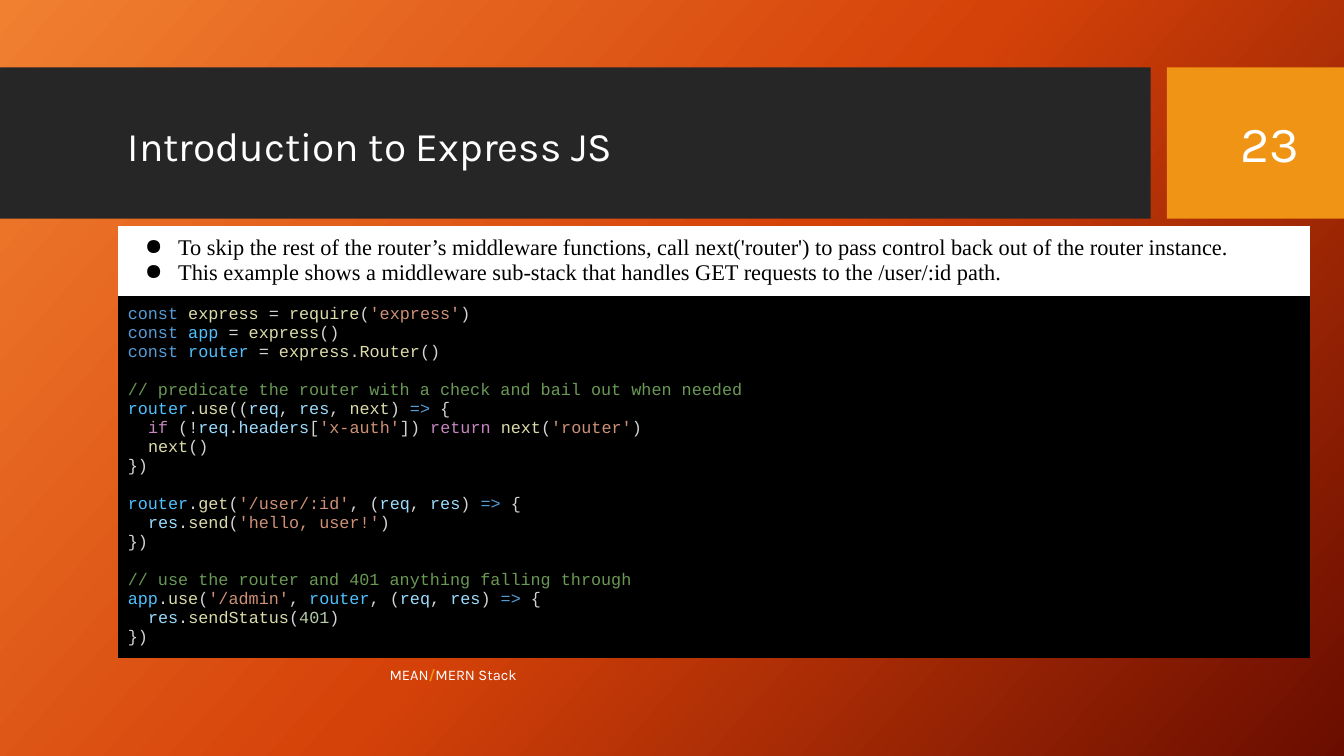
from dataclasses import dataclass
from itertools import groupby

from lxml import etree
from pptx import Presentation
from pptx.dml.color import RGBColor
from pptx.enum.shapes import MSO_SHAPE
from pptx.enum.text import MSO_ANCHOR, MSO_AUTO_SIZE, PP_ALIGN
from pptx.oxml.ns import qn
from pptx.util import Cm, Pt

RECTANGLE = MSO_SHAPE.RECTANGLE
TOP, MIDDLE, BOTTOM = MSO_ANCHOR.TOP, MSO_ANCHOR.MIDDLE, MSO_ANCHOR.BOTTOM
LEFT, CENTER, RIGHT = PP_ALIGN.LEFT, PP_ALIGN.CENTER, PP_ALIGN.RIGHT
NO_AUTOFIT = MSO_AUTO_SIZE.NONE


@dataclass(frozen=True)
class Theme:
    heading_font: str = "Karla"
    body_font: str = "Times New Roman"
    code_font: str = "Courier New"
    title_size: float = 29
    number_size: float = 36
    footer_size: float = 10.5
    body_size: float = 16
    code_size: float = 12
    code_line: float = 13.6
    band: str = "262626"
    accent: str = "F09415"
    white: str = "FFFFFF"
    black: str = "000000"
    gradient: tuple = ((0, "F18031"), (50, "D54209"), (100, "6A0D00"))
    gradient_angle: int = 42
    keyword: str = "569CD6"
    control: str = "C586C0"
    constant: str = "4FC1FF"
    function: str = "DCDCAA"
    variable: str = "9CDCFE"
    string: str = "CE9178"
    number: str = "B5CEA8"
    comment: str = "6A9955"
    punctuation: str = "D4D4D4"


THEME = Theme()


@dataclass(frozen=True)
class Area:
    left: float
    top: float
    width: float
    height: float

    def lengths(self) -> tuple:
        return Cm(self.left), Cm(self.top), Cm(self.width), Cm(self.height)


@dataclass(frozen=True)
class Panel:
    area: Area
    color: str


PANELS = (
    Panel(Area(0, 1.7, 29, 3.81), THEME.band),
    Panel(Area(29.41, 1.7, 4.46, 3.81), THEME.accent),
)
TITLE_AREA = Area(2.97, 2.67, 27.94, 1.73)
FOOTER_AREA = Area(1.88, 16.48, 19.08, 1.02)
NUMBER_AREA = Area(29.79, 2.08, 3.2, 3.02)
TABLE_AREA = Area(2.97, 5.69, 30.04, 10.87)
ROW_HEIGHTS = (1.77, 9.1)

NOTES = (
    "To skip the rest of the router’s middleware functions, call next('router') "
    "to pass control back out of the router instance.",
    "This example shows a middleware sub-stack that handles GET requests "
    "to the /user/:id path.",
)
CODE = """\
const express = require('express')
const app = express()
const router = express.Router()

// predicate the router with a check and bail out when needed
router.use((req, res, next) => {
  if (!req.headers['x-auth']) return next('router')
  next()
})

router.get('/user/:id', (req, res) => {
  res.send('hello, user!')
})

// use the router and 401 anything falling through
app.use('/admin', router, (req, res) => {
  res.sendStatus(401)
})"""
WORDS_BY_COLOR = {
    THEME.keyword: "const =>",
    THEME.control: "if return",
    THEME.constant: "app router",
    THEME.function: "express require Router use next get send sendStatus",
    THEME.variable: "req res headers",
    THEME.number: "401",
}
WORD_COLORS = {word: color for color, words in WORDS_BY_COLOR.items() for word in words.split()}


def add_span(para, text: str, *, font: str, size: float, color: str, bold: bool = False) -> None:
    span = para.add_run()
    span.text = text
    span.font.name = font
    span.font.size = Pt(size)
    span.font.bold = bold
    span.font.color.rgb = RGBColor.from_string(color)


def format_frame(frame, anchor) -> None:
    frame.word_wrap = True
    frame.auto_size = NO_AUTOFIT
    frame.vertical_anchor = anchor
    frame.margin_left = frame.margin_right = Cm(0.25)
    frame.margin_top = frame.margin_bottom = Cm(0.13)


def add_box(slide, area: Area, align):
    """Add a middle-anchored text box and return its paragraph."""
    frame = slide.shapes.add_textbox(*area.lengths()).text_frame
    format_frame(frame, MIDDLE)
    para = frame.paragraphs[0]
    para.alignment = align
    return para


def paint_background(slide) -> None:
    fill = slide.background.fill
    fill.gradient()
    fill.gradient_angle = 360 - THEME.gradient_angle
    stops = slide.element.find(".//" + qn("a:gsLst"))
    stops.clear()
    for percent, color in THEME.gradient:
        stop = etree.SubElement(stops, qn("a:gs"), pos=str(percent * 1000))
        etree.SubElement(stop, qn("a:srgbClr"), val=color)


def add_header(slide) -> None:
    title = slide.shapes.title
    for panel in PANELS:
        shape = slide.shapes.add_shape(RECTANGLE, *panel.area.lengths())
        shape.shadow.inherit = False
        shape.fill.solid()
        shape.fill.fore_color.rgb = RGBColor.from_string(panel.color)
        shape.line.fill.background()
        title.element.addprevious(shape.element)
    title.left, title.top, title.width, title.height = TITLE_AREA.lengths()
    format_frame(title.text_frame, BOTTOM)
    para = title.text_frame.paragraphs[0]
    para.alignment = LEFT
    para.line_spacing = 0.85
    add_span(para, "Introduction to Express JS", font=THEME.heading_font,
             size=THEME.title_size, color=THEME.white)


def code_tokens(line: str) -> list[tuple[str, str]]:
    """Split a line of code into (text, colour) pairs."""
    if line.startswith("//"):
        return [(line, THEME.comment)]
    tokens = []
    for index, part in enumerate(line.split("'")):
        if index % 2:
            tokens.append((f"'{part}'", THEME.string))
            continue
        for _, characters in groupby(part, lambda char: "word" if char.isalnum() else char in "=>"):
            text = "".join(characters)
            tokens.append((text, WORD_COLORS.get(text, THEME.punctuation)))
    return tokens


def next_para(frame, index: int):
    return frame.add_paragraph() if index else frame.paragraphs[0]


def write_notes(frame) -> None:
    for index, note in enumerate(NOTES):
        para = next_para(frame, index)
        add_span(para, note, font=THEME.body_font, size=THEME.body_size, color=THEME.black)
        properties = para._p.get_or_add_pPr()
        properties.set("marL", str(Cm(1.27)))
        properties.set("indent", str(Cm(-0.84)))
        bullet_color = etree.SubElement(properties, qn("a:buClr"))
        etree.SubElement(bullet_color, qn("a:srgbClr"), val=THEME.black)
        etree.SubElement(properties, qn("a:buChar"), char="●")


def write_code(frame) -> None:
    blocks = [block.splitlines() for block in CODE.split("\n\n")]
    lines = [(line, row == 0) for block in blocks for row, line in enumerate(block)]
    for index, (line, starts_block) in enumerate(lines):
        para = next_para(frame, index)
        if index and starts_block:
            para.space_before = Pt(THEME.code_line)
        if line.startswith(" "):
            para._p.get_or_add_pPr().set("marL", str(Cm(0.51)))
        for text, color in code_tokens(line.strip()):
            add_span(para, text, font=THEME.code_font, size=THEME.code_size, color=color)


def add_example_table(slide) -> None:
    table = slide.shapes.add_table(2, 2, *TABLE_AREA.lengths()).table
    table.first_row = table.horz_banding = False
    rows = zip(ROW_HEIGHTS, (THEME.white, THEME.black), (write_notes, write_code))
    for index, (height, color, write) in enumerate(rows):
        table.rows[index].height = Cm(height)
        table.cell(index, 0).merge(table.cell(index, 1))
        for cell in table.rows[index].cells:
            cell.margin_left = cell.margin_right = cell.margin_top = cell.margin_bottom = Cm(0.25)
            cell.vertical_anchor = TOP
            cell.fill.solid()
            cell.fill.fore_color.rgb = RGBColor.from_string(color)
            for position, side in enumerate(("lnL", "lnR", "lnT", "lnB")):
                border = etree.Element(qn(f"a:{side}"))
                etree.SubElement(border, qn("a:noFill"))
                cell._tc.get_or_add_tcPr().insert(position, border)
        write(table.cell(index, 0).text_frame)


def main() -> None:
    deck = Presentation()
    deck.slide_width, deck.slide_height = Cm(33.87), Cm(19.05)
    page = deck.slides.add_slide(deck.slide_layouts[5])
    paint_background(page)
    add_header(page)
    footer = add_box(page, FOOTER_AREA, CENTER)
    for text, color in (("MEAN", THEME.white), ("/", THEME.accent), ("MERN Stack", THEME.white)):
        add_span(footer, text, font=THEME.heading_font, size=THEME.footer_size,
                 color=color, bold=text == "/")
    add_span(add_box(page, NUMBER_AREA, RIGHT), "23", font=THEME.heading_font,
             size=THEME.number_size, color=THEME.white)
    add_example_table(page)
    deck.save("out.pptx")


if __name__ == "__main__":
    main()
